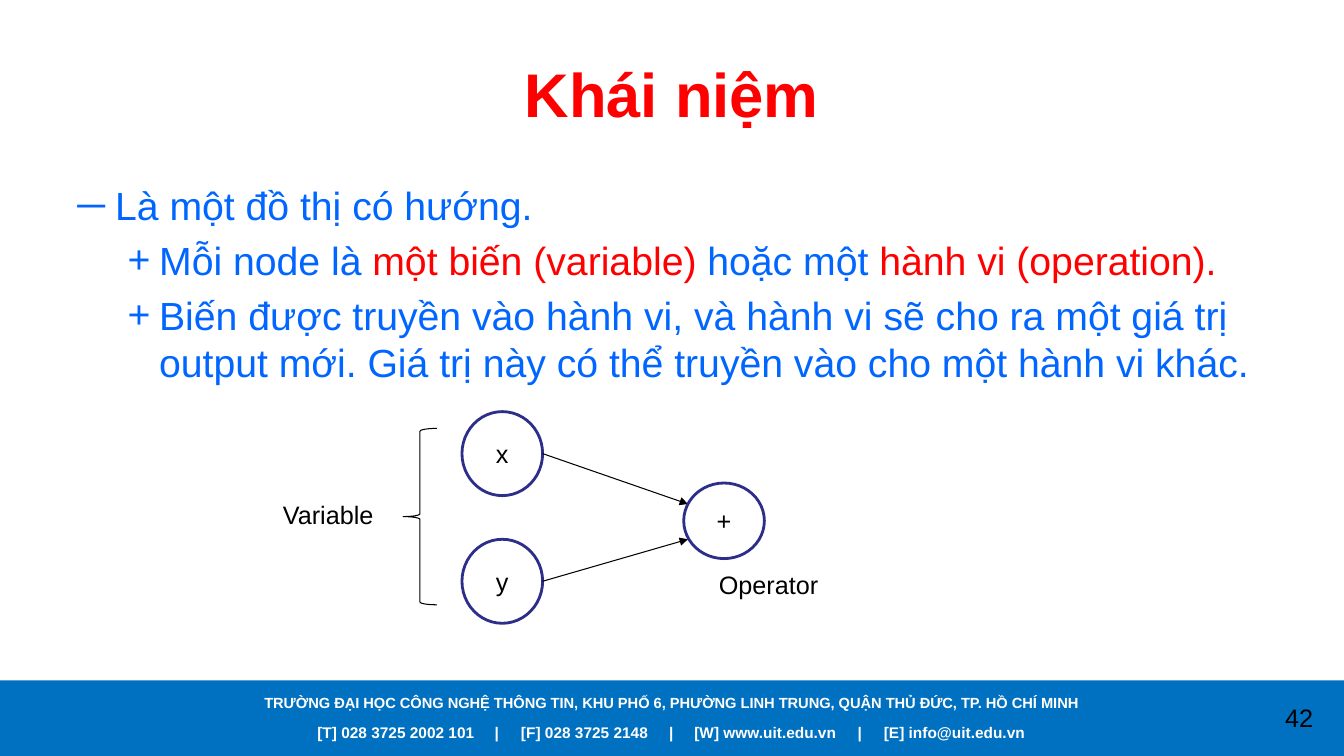
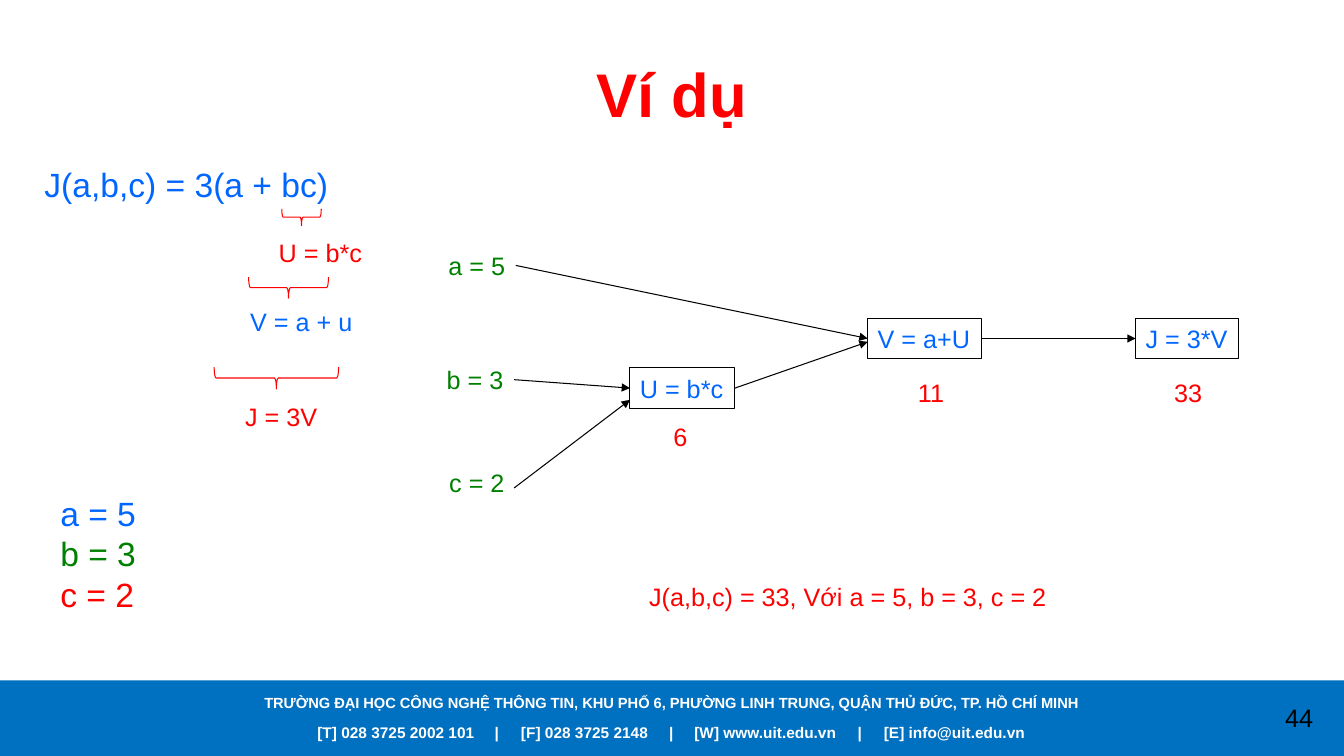
from dataclasses import dataclass

from lxml.etree import SubElement as Sub
from pptx import Presentation
from pptx.dml.color import RGBColor as RGB
from pptx.enum.shapes import MSO_CONNECTOR as Wire, MSO_SHAPE as Kind
from pptx.enum.text import MSO_ANCHOR as Anchor, MSO_AUTO_SIZE as Fit, PP_ALIGN as Align
from pptx.oxml.ns import qn
from pptx.util import Inches, Pt

WHITE = RGB(0xFF, 0xFF, 0xFF)
BLACK = RGB(0, 0, 0)
RED = RGB(0xFF, 0, 0)
BLUE = RGB(0, 0x66, 0xFF)
GREEN = RGB(0, 0x80, 0)
NAVY = RGB(0x2D, 0x2D, 0x8A)
BAND = RGB(0, 0x70, 0xC0)

FONT = "Arial"
COLS, ROWS = 160, 90
UNIT = Inches(7.5) // ROWS
LINE = 4.8


@dataclass
class Box:
    x: float
    y: float
    w: float
    h: float

    def cut(self, x, y, w, h):
        return Box(self.x + x, self.y + y, w, h)

    def spot(self, x, y):
        return self.x + x, self.y + y

    def size(self):
        return [round(n * UNIT) for n in (self.x, self.y, self.w, self.h)]


PAGE = Box(0, 0, COLS, ROWS)
HEAD = PAGE.cut(8, 3.6, 144, 15)
BODY = PAGE.cut(8, 21, 144, 59.4)
FOOT = PAGE.cut(0, 81, COLS, 9)


def move(shape, box):
    shape.left, shape.top, shape.width, shape.height = box.size()


def style(run, size, color, bold=False):
    font = run.font
    font.name, font.size, font.bold = FONT, Pt(size), bold
    font.color.rgb = color


def paint(frame, size, color, bold=False, align=None):
    for para in frame.paragraphs:
        para.alignment = align
        for run in para.runs:
            style(run, size, color, bold)


def label(slide, box, text, color=BLACK, size=18, bold=False, align=None, wrap=False):
    shape = slide.shapes.add_textbox(*box.size())
    frame = shape.text_frame
    frame.text = text
    frame.word_wrap = wrap
    frame.auto_size = Fit.SHAPE_TO_FIT_TEXT
    paint(frame, size, color, bold, align)
    return shape


def form(slide, kind, box, fill=None, line=None, width=0.75):
    shape = slide.shapes.add_shape(kind, *box.size())
    shape.shadow.inherit = False
    if fill is None:
        shape.fill.background()
    else:
        shape.fill.solid()
        shape.fill.fore_color.rgb = fill
    if line is None:
        shape.line.fill.background()
    else:
        shape.line.color.rgb = line
        shape.line.width = Pt(width)
    return shape


def node(slide, box, text):
    shape = form(slide, Kind.OVAL, box, WHITE, NAVY, 2)
    frame = shape.text_frame
    frame.text = text
    frame.vertical_anchor = Anchor.MIDDLE
    paint(frame, 18, BLACK, align=Align.CENTER)


def arrow(slide, start, end):
    ends = [round(n * UNIT) for n in (*start, *end)]
    wire = slide.shapes.add_connector(Wire.STRAIGHT, *ends)
    wire.line.color.rgb = BLACK
    wire.line.width = Pt(0.75)
    Sub(wire.line._get_or_add_ln(), qn("a:tailEnd"), type="triangle")
    Sub(wire.element.spPr, qn("a:effectLst"))
    return wire


def link(slide, left, right):
    wire = arrow(slide, (0, 0), (1, 1))
    wire.begin_connect(left, 3)
    wire.end_connect(right, 1)


def footer(slide, box):
    band = form(slide, Kind.RECTANGLE, box, BAND)
    place = label(
        slide, box.cut(0, 1, box.w, 3.4),
        "TRƯỜNG ĐẠI HỌC CÔNG NGHỆ THÔNG TIN, KHU PHỐ 6, PHƯỜNG LINH TRUNG, "
        "QUẬN THỦ ĐỨC, TP. HỒ CHÍ MINH",
        WHITE, 10.5, True, Align.CENTER, True)
    parts = ["[T] 028 3725 2002 101", "[F] 028 3725 2148",
             "[W] www.uit.edu.vn", "[E] info@uit.edu.vn"]
    reach = label(slide, box.cut(36.6, 4.5, 88, 3.5), "\t|\t".join(parts),
                  WHITE, 11, True, Align.LEFT, True)
    props = reach.text_frame.paragraphs[0]._p.get_or_add_pPr()
    tabs = Sub(props, qn("a:tabLst"))
    for stop in (1.76, 2.02, 3.49, 3.74, 5.36, 5.62):
        Sub(tabs, qn("a:tab"), pos=str(Inches(stop)), algn="l")
    return [band, place, reach]


def share(slide, master):
    for code, shape in enumerate(footer(slide, FOOT), 90):
        shape.element.nvSpPr.cNvPr.set("id", str(code))
        master.shapes.element.append(shape.element)


def start(deck, layout, title, number):
    slide = deck.slides.add_slide(deck.slide_layouts[layout])
    head = slide.shapes.title
    move(head, HEAD)
    head.text_frame.text = title
    head.text_frame.vertical_anchor = Anchor.MIDDLE
    paint(head.text_frame, 44, RED, True, Align.CENTER)
    label(slide, FOOT.cut(149.3, 2, 10.7, LINE), number, align=Align.CENTER, wrap=True)
    return slide


def points(slide, box):
    items = [
        (0, "─", [("Là một đồ thị có hướng.", BLUE)]),
        (1, "+", [("Mỗi node là ", BLUE), ("một biến (variable) ", RED),
                  ("hoặc một ", BLUE), ("hành vi (operation).", RED)]),
        (1, "+", [("Biến được truyền vào hành vi, và hành vi sẽ cho ra một giá trị "
                   "output mới. Giá trị này có thể truyền vào cho một hành vi khác.", BLUE)]),
    ]
    body = slide.placeholders[1]
    move(body, box)
    frame = body.text_frame
    for i, (level, mark, runs) in enumerate(items):
        para = frame.add_paragraph() if i else frame.paragraphs[0]
        para.level = level
        props = para._p.get_or_add_pPr()
        Sub(props, qn("a:buFont"), typeface=FONT)
        Sub(props, qn("a:buChar"), char=mark)
        for text, color in runs:
            run = para.add_run()
            run.text = text
            style(run, 28, color)


def concept(slide, box):
    for text, y, start_y, end_y in (("x", 1, 6, 12), ("y", 16.2, 21.2, 16.2)):
        node(slide, box.cut(23, y, 9.6, 10), text)
        arrow(slide, box.spot(32.6, start_y), box.spot(49.9, end_y))
    node(slide, box.cut(49.4, 9.5, 9.6, 9), "+")
    form(slide, Kind.LEFT_BRACE, box.cut(16, 3, 4, 21), line=BLACK)
    label(slide, box.cut(0.5, 10.8, 13.3, LINE), "Variable")
    label(slide, box.cut(52.4, 19.2, 14.4, LINE), "Operator")


def steps(slide, box):
    label(slide, box.cut(0.1, 0.9, 36.5, 6), "J(a,b,c) = 3(a + bc)", BLUE, 24)
    rows = [
        ("U = b*c", RED, (28, 9.7, 12.5), (30.9, 5.5, 2, 4.7)),
        ("V = a + u", BLUE, (24.6, 17.9, 14.8), (29.1, 11.5, 2.5, 9.5)),
        ("J = 3V", RED, (24, 29.2, 11), (27.6, 19.6, 2.6, 14.8)),
    ]
    for text, color, place, brace in rows:
        label(slide, box.cut(*place, LINE), text, color)
        form(slide, Kind.LEFT_BRACE, box.cut(*brace), line=RED).rotation = 270


def values(slide, box):
    shape = label(slide, box, "a = 5\nb = 3\nc = 2", BLUE, 24, wrap=True)
    for para, color in zip(shape.text_frame.paragraphs, (BLUE, GREEN, RED)):
        style(para.runs[0], 24, color)


def graph(slide, box):
    inputs = [("a = 5", 0.2, 0.2), ("b = 3", 0, 13.8), ("c = 2", 0.3, 26)]
    a, b, c = [label(slide, box.cut(x, y, 9.2, LINE), text, GREEN)
               for text, x, y in inputs]
    cells = []
    for text, x, y, w in (("U = b*c", 23, 14.8, 12.5), ("V = a+U", 51.3, 8.9, 13.6),
                          ("J = 3*V", 83.2, 8.9, 12.2)):
        cell = label(slide, box.cut(x, y, w, LINE), text, BLUE)
        cell.line.color.rgb = BLACK
        cell.line.width = Pt(0.75)
        cells.append(cell)
    u, v, j = cells
    for left, right in ((a, v), (b, u), (v, j)):
        link(slide, left, right)
    arrow(slide, box.spot(9.2, 29.1), box.spot(23, 18.6))
    arrow(slide, box.spot(35.5, 17.2), box.spot(51.3, 11.7)).begin_connect(u, 3)
    for text, x, y, w in (("6", 27, 20.6, 4.1), ("11", 56.1, 15.3, 5.5),
                          ("33", 86.6, 15.3, 5.8)):
        label(slide, box.cut(x, y, w, LINE), text, RED)
    label(slide, box.cut(24.1, 39.6, 50.2, LINE),
          "J(a,b,c) = 33, Với a = 5, b = 3, c = 2", RED)


def main():
    deck = Presentation()
    deck.slide_width, deck.slide_height = COLS * UNIT, ROWS * UNIT

    idea = start(deck, 1, "Khái niệm", "42")
    share(idea, deck.slide_master)
    points(idea, BODY)
    concept(idea, PAGE.cut(32, 48, 68, 27))

    case = start(deck, 5, "Ví dụ", "44")
    steps(case, PAGE.cut(4, 18, 42, 36))
    values(case, PAGE.cut(6, 58.1, 13, 15.7))
    graph(case, PAGE.cut(52, 29, 96, 46))

    deck.save("out.pptx")


if __name__ == "__main__":
    main()
